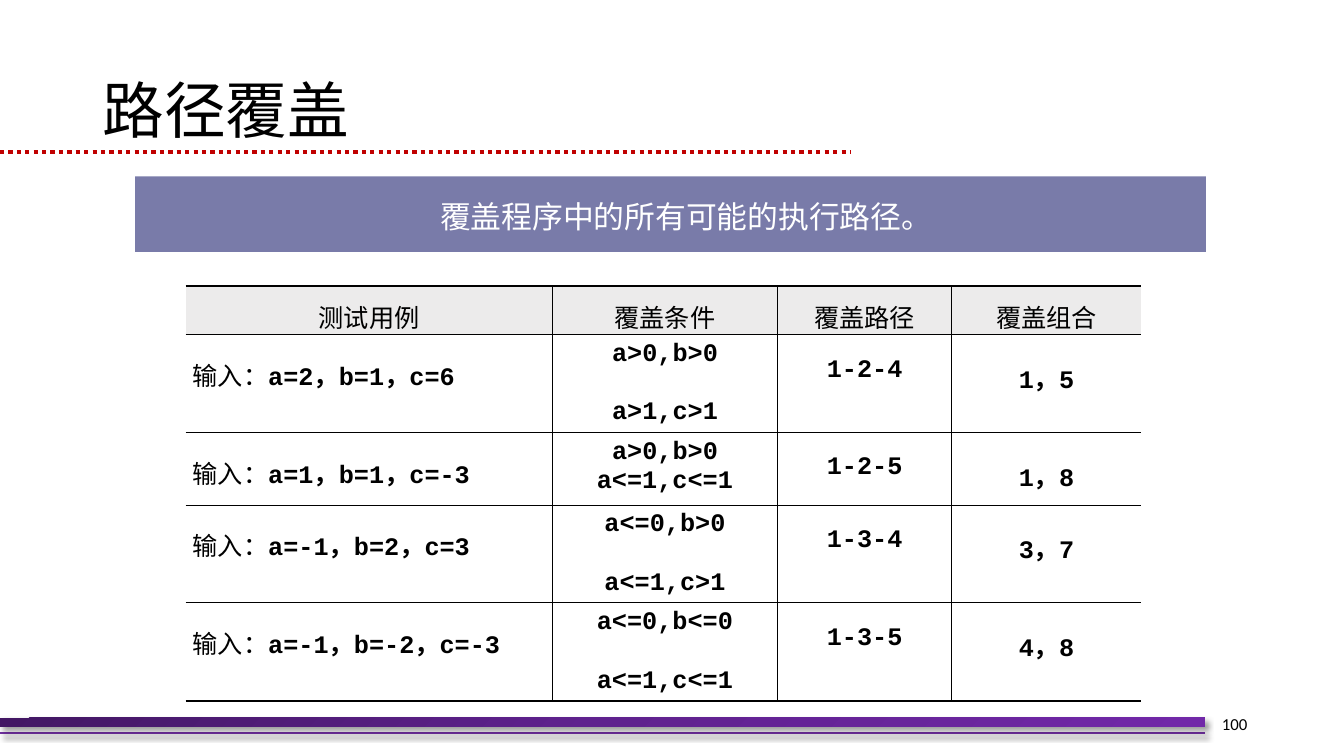
from itertools import groupby

from lxml.etree import SubElement
from pptx import Presentation
from pptx.dml.color import RGBColor
from pptx.enum.dml import MSO_LINE
from pptx.enum.shapes import MSO_CONNECTOR, MSO_SHAPE
from pptx.enum.text import MSO_ANCHOR, PP_ALIGN
from pptx.oxml import parse_xml
from pptx.oxml.ns import nsdecls, qn
from pptx.util import Inches, Pt

TITLE = "路径覆盖"
DEFINITION = "覆盖程序中的所有可能的执行路径。"
PAGE_NUMBER = "100"
HEADERS = ["测试用例", "覆盖条件", "覆盖路径", "覆盖组合"]
INPUT_LABEL = "输入："
# inputs, conditions, space between the conditions (pt), path, combination
CASES = [
    ("a=2，b=1，c=6", ["a>0,b>0", "a>1,c>1"], 21, "1-2-4", "1，5"),
    ("a=1，b=1，c=-3", ["a>0,b>0", "a<=1,c<=1"], 0, "1-2-5", "1，8"),
    ("a=-1，b=2，c=3", ["a<=0,b>0", "a<=1,c>1"], 21, "1-3-4", "3，7"),
    ("a=-1，b=-2，c=-3", ["a<=0,b<=0", "a<=1,c<=1"], 21, "1-3-5", "4，8"),
]
COLUMN_WIDTHS = [3.64, 2.23, 1.73, 1.88]
HEADER_HEIGHT, TALL_ROW, SHORT_ROW = 0.48, 0.97, 0.72
HEADER_INSET = 0.12
CASE_INSETS = [0.21, 0.05, 0.21, 0.24]
CHINESE, CODE, NUMBER = "Noto Sans CJK SC", "Courier New", "Calibri"
BLACK, WHITE = "000000", "FFFFFF"
BAR_STOPS = [(0, "431764"), (50, "5F218E"), (100, "7128A8")]
NO_STYLE_NO_GRID = "{2D5ABB26-0587-4C30-8999-92F81FD0307C}"


def color(value):
    return RGBColor.from_string(value)


def is_chinese(char):
    return ord(char) > 0x2E80


def write(frame, paragraphs, size=18, ink=BLACK, latin=CODE, align=PP_ALIGN.CENTER,
          gap=0, indent=0, spacing=None):
    """Fill a frame with paragraphs, each a list of (text, bold) pieces."""
    frame.word_wrap = True
    for number, pieces in enumerate(paragraphs):
        paragraph = frame.add_paragraph() if number else frame.paragraphs[0]
        paragraph.alignment = align
        if spacing:
            paragraph.line_spacing = spacing
        if number:
            paragraph.space_before = Pt(gap)
        if indent:
            paragraph._p.get_or_add_pPr().set("marL", str(Inches(indent)))
        for text, bold in pieces:
            for chinese, chars in groupby(text, is_chinese):
                run = paragraph.add_run()
                run.text = "".join(chars)
                font = run.font
                font.size, font.bold = Pt(size), bold
                font.color.rgb = color(ink)
                font.name = CHINESE if chinese else latin
                SubElement(run._r.rPr, qn("a:ea")).set("typeface", font.name)


def add_effects(shape, shadow):
    blur = (f'<a:outerShdw blurRad="{Pt(4)}" dist="{Pt(3)}" dir="2700000" rotWithShape="0">'
            '<a:srgbClr val="000000"><a:alpha val="40000"/></a:srgbClr></a:outerShdw>')
    shape._element.spPr.append(parse_xml(
        f'<a:effectLst {nsdecls("a")}>{blur if shadow else ""}</a:effectLst>'))


def add_rule(shapes, y, right, ink, width, dash=None, shadow=False):
    rule = shapes.add_connector(MSO_CONNECTOR.STRAIGHT, 0, Inches(y), Inches(right), Inches(y))
    rule.line.color.rgb = color(ink)
    rule.line.width = Pt(width)
    if dash:
        rule.line.dash_style = dash
    add_effects(rule, shadow)


def add_block(shapes, left, top, width, height):
    block = shapes.add_shape(MSO_SHAPE.RECTANGLE, *map(Inches, (left, top, width, height)))
    block.line.fill.background()
    return block


def add_bar(shapes):
    bar = add_block(shapes, 0, 7.12, 11.95, 0.09)
    stops = "".join(f'<a:gs pos="{at * 1000}"><a:srgbClr val="{ink}"/></a:gs>'
                    for at, ink in BAR_STOPS)
    bar._element.spPr.find(qn("a:prstGeom")).addnext(parse_xml(
        f'<a:gradFill {nsdecls("a")} rotWithShape="1"><a:gsLst>{stops}</a:gsLst>'
        '<a:lin ang="2700000" scaled="1"/></a:gradFill>'))
    add_effects(bar, shadow=True)


def add_banner(shapes):
    banner = add_block(shapes, 1.34, 1.75, 10.62, 0.75)
    banner.shadow.inherit = False
    banner.fill.solid()
    banner.fill.fore_color.rgb = color("797BA9")
    frame = banner.text_frame
    frame.margin_left = frame.margin_right = frame.margin_bottom = 0
    frame.margin_top = Inches(0.21)
    frame.vertical_anchor = MSO_ANCHOR.TOP
    write(frame, [[(DEFINITION, False)]], size=22, ink=WHITE, indent=0.31)


def add_text(shapes, box, text, **style):
    frame = shapes.add_textbox(*map(Inches, box)).text_frame
    frame.vertical_anchor = MSO_ANCHOR.MIDDLE
    write(frame, [[(text, False)]], **style)


def set_borders(cell, row, column):
    """Rule the inside of the table, with heavier top and bottom edges."""
    last_row, last_column = len(CASES), len(HEADERS) - 1
    widths = {
        "a:lnL": 1 if column else 0,
        "a:lnR": 1 if column < last_column else 0,
        "a:lnT": 1 if row else 1.5,
        "a:lnB": 1 if row < last_row else 1.5,
    }
    for side, width in widths.items():
        line = SubElement(cell._tc.get_or_add_tcPr(), qn(side), w=str(Pt(width)))
        if width:
            SubElement(SubElement(line, qn("a:solidFill")), qn("a:srgbClr"), val=BLACK)
        else:
            SubElement(line, qn("a:noFill"))


def add_case_table(shapes):
    heights = [HEADER_HEIGHT] + [TALL_ROW if case[2] else SHORT_ROW for case in CASES]
    table = shapes.add_table(
        len(heights), len(HEADERS), Inches(1.84), Inches(2.84),
        Inches(sum(COLUMN_WIDTHS)), Inches(sum(heights))).table
    table._tbl.tblPr.find(qn("a:tableStyleId")).text = NO_STYLE_NO_GRID
    table.first_row = table.horz_banding = False
    for column, width in zip(table.columns, COLUMN_WIDTHS):
        column.width = Inches(width)
    for row, height in zip(table.rows, heights):
        row.height = Inches(height)

    def fill_cell(row, column, paragraphs, inset, **style):
        cell = table.cell(row, column)
        cell.margin_left = cell.margin_right = cell.margin_bottom = 0
        cell.margin_top = Inches(inset)
        set_borders(cell, row, column)
        if row:
            cell.fill.background()
        else:
            cell.fill.solid()
            cell.fill.fore_color.rgb = color("ECEBEB")
        write(cell.text_frame, paragraphs, **style)

    for column, header in enumerate(HEADERS):
        fill_cell(0, column, [[(header, False)]], HEADER_INSET)
    for row, (inputs, conditions, gap, route, combination) in enumerate(CASES, 1):
        contents = [
            ([[(INPUT_LABEL, False), (inputs, True)]],
             {"align": PP_ALIGN.LEFT, "indent": 0.07}),
            ([[(condition, True)] for condition in conditions],
             {"gap": gap, "spacing": 1.02}),
            ([[(route, True)]], {}),
            ([[(combination, True)]], {}),
        ]
        for column, (paragraphs, style) in enumerate(contents):
            fill_cell(row, column, paragraphs, CASE_INSETS[column], **style)


def main():
    deck = Presentation()
    deck.slide_width, deck.slide_height = Inches(13.33), Inches(7.5)
    shapes = deck.slides.add_slide(deck.slide_layouts[6]).shapes
    add_rule(shapes, 7.27, 11.95, "7030A0", 1.5, shadow=True)
    add_bar(shapes)
    add_rule(shapes, 1.51, 8.44, "C00000", 3, dash=MSO_LINE.ROUND_DOT)
    add_banner(shapes)
    add_case_table(shapes)
    add_text(shapes, (11.38, 6.98, 1.09, 0.4), PAGE_NUMBER,
             size=12, latin=NUMBER, align=PP_ALIGN.RIGHT)
    add_text(shapes, (0.92, 0.4, 11.5, 1.45), TITLE,
             size=44, align=PP_ALIGN.LEFT, spacing=0.9)
    deck.save("out.pptx")


if __name__ == "__main__":
    main()
